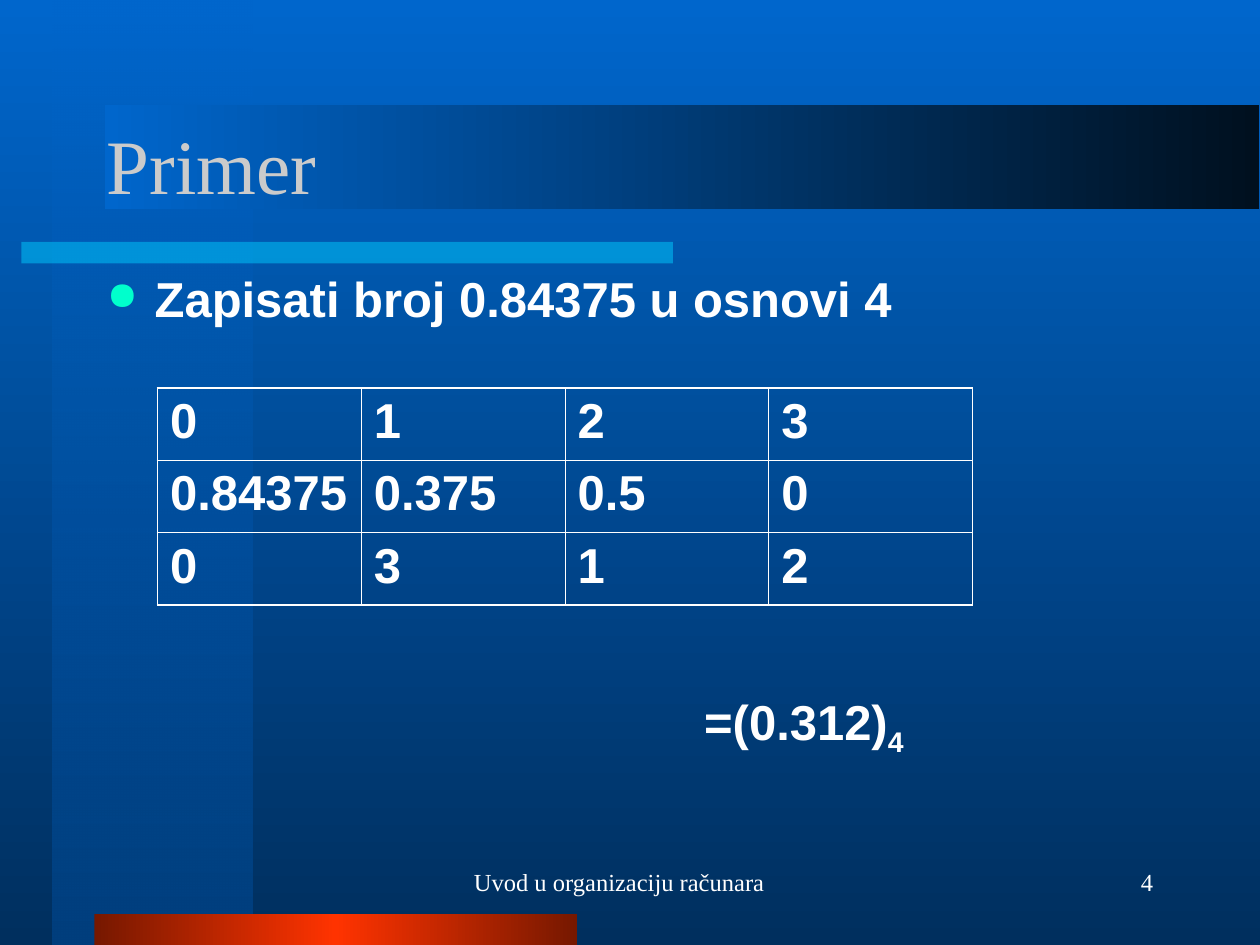
from lxml import etree
from pptx import Presentation
from pptx.dml.color import RGBColor
from pptx.enum.shapes import MSO_SHAPE
from pptx.enum.text import MSO_ANCHOR, PP_ALIGN
from pptx.oxml.ns import qn
from pptx.util import Inches, Pt

RECT = MSO_SHAPE.RECTANGLE
MIDDLE = MSO_ANCHOR.MIDDLE
LEFT, CENTER, RIGHT = PP_ALIGN.LEFT, PP_ALIGN.CENTER, PP_ALIGN.RIGHT

WHITE = RGBColor(0xFF, 0xFF, 0xFF)
GREY = RGBColor(0xCB, 0xCB, 0xCB)
MINT = RGBColor(0x00, 0xFF, 0xCC)
CYAN = RGBColor(0x00, 0xCC, 0xFF)
BLUE = RGBColor(0x00, 0x66, 0xCC)
NAVY = RGBColor(0x00, 0x2F, 0x5E)
DEEP = RGBColor(0x00, 0x3F, 0x7E)
INK = RGBColor(0x00, 0x10, 0x1F)
RED = RGBColor(0xFF, 0x33, 0x00)
RUST = RGBColor(0x76, 0x18, 0x00)

SERIF, SANS = "Times New Roman", "Arial"
DOWN, ACROSS = 270, 0
THIN, THICK = Pt(0.45), Pt(1.08)

STEPS = [
    ["0", "1", "2", "3"],
    ["0.84375", "0.375", "0.5", "0"],
    ["0", "3", "1", "2"],
]


def add(parent, tag, **attrs):
    return etree.SubElement(parent, qn(tag), attrs)


def fade(color, percent):
    add(color, "a:alpha", val=str(percent * 1000))


def shade(fill, root, colors, angle):
    """Spread the colours evenly over a linear gradient; return its stops."""
    fill.gradient()
    fill.gradient_angle = angle
    stops = root.find(".//" + qn("a:gsLst"))
    for old in list(stops):
        stops.remove(old)
    for i, color in enumerate(colors):
        stop = add(stops, "a:gs", pos=str(100000 * i // (len(colors) - 1)))
        add(stop, "a:srgbClr", val=str(color))
    return stops


def add_bar(slide, x, y, w, h):
    bar = slide.shapes.add_shape(RECT, Inches(x), Inches(y), Inches(w), Inches(h))
    bar.shadow.inherit = False
    bar.line.fill.background()
    return bar


def add_decor(slide):
    shade(slide.background.fill, slide.element, [BLUE, NAVY], DOWN)

    strip = add_bar(slide, 0.42, 0, 1.58, 7.5)
    stops = shade(strip.fill, strip.element, [BLUE, DEEP], DOWN)
    fade(stops[0][0], 50)

    rule = add_bar(slide, 0.17, 1.92, 5.17, 0.17)
    rule.fill.solid()
    rule.fill.fore_color.rgb = CYAN
    fade(rule.element.spPr.find(".//" + qn("a:srgbClr")), 50)

    foot = add_bar(slide, 0.75, 7.25, 3.83, 0.25)
    shade(foot.fill, foot.element, [RUST, RED, RUST], ACROSS)

    band = add_bar(slide, 0.83, 0.83, 9.16, 0.83)
    shade(band.fill, band.element, [BLUE, INK], ACROSS)


def set_font(par, size, name, color=WHITE, bold=False):
    font = par.font
    font.size, font.name, font.bold = Pt(size), name, bold
    font.color.rgb = color


def add_text(slide, text, x, y, w, h, align=LEFT):
    box = slide.shapes.add_textbox(Inches(x), Inches(y), Inches(w), Inches(h))
    frame = box.text_frame
    frame.word_wrap = True
    frame.vertical_anchor = MIDDLE
    par = frame.paragraphs[0]
    par.text = text
    par.alignment = align
    return par


def add_task(slide, text, x, y, w, h):
    par = add_text(slide, text, x, y, w, h)
    props = par._p.get_or_add_pPr()
    props.set("marL", str(Inches(0.38)))
    props.set("indent", str(-Inches(0.38)))
    add(add(props, "a:buClr"), "a:srgbClr", val=str(MINT))
    add(props, "a:buSzPct", val="80000")
    add(props, "a:buChar", char="●")
    set_font(par, 28, SANS, bold=True)


def add_result(slide, value, base, x, y, w, h):
    par = add_text(slide, value, x, y, w, h)
    sub = par.add_run()
    sub.text = base
    sub.font._element.set("baseline", "-25000")
    set_font(par, 28, SANS, bold=True)


def add_border(cell, side, width):
    line = add(cell._tc.get_or_add_tcPr(), "a:ln" + side, w=str(width))
    add(add(line, "a:solidFill"), "a:srgbClr", val=str(WHITE))


def add_steps(slide, rows, x, y, w, h):
    """Table with thin inner lines and a thicker frame."""
    tall, wide = len(rows), len(rows[0])
    table = slide.shapes.add_table(
        tall, wide, Inches(x), Inches(y), Inches(w), Inches(h)).table
    table.first_row = table.horz_banding = False
    for r, row in enumerate(rows):
        for c, text in enumerate(row):
            cell = table.cell(r, c)
            cell.text = text
            set_font(cell.text_frame.paragraphs[0], 28, SANS, bold=True)
            edges = {"L": c == 0, "R": c == wide - 1,
                     "T": r == 0, "B": r == tall - 1}
            for side, outer in edges.items():
                add_border(cell, side, THICK if outer else THIN)
            cell.fill.background()


def add_footer(slide, text, number, y, h):
    set_font(add_text(slide, text, 2.25, y, 5.33, h, CENTER), 14, SERIF)
    set_font(add_text(slide, number, 7.67, y, 1.58, h, RIGHT), 14, SERIF)


def main():
    deck = Presentation()
    deck.slide_width, deck.slide_height = Inches(10), Inches(7.5)
    slide = deck.slides.add_slide(deck.slide_layouts[6])
    add_decor(slide)
    add_footer(slide, "Uvod u organizaciju računara", "4", 6.75, 0.5)
    title = add_text(slide, "Primer", 0.75, 0.67, 8.5, 1.25)
    set_font(title, 44, SERIF, GREY)
    add_task(slide, "Zapisati broj 0.84375 u osnovi 4", 0.75, 2.09, 7.83, 0.55)
    add_steps(slide, STEPS, 1.25, 3.08, 6.47, 1.72)
    add_result(slide, "=(0.312)", "4", 5.49, 5.48, 3.09, 0.55)
    deck.save("out.pptx")


if __name__ == "__main__":
    main()
